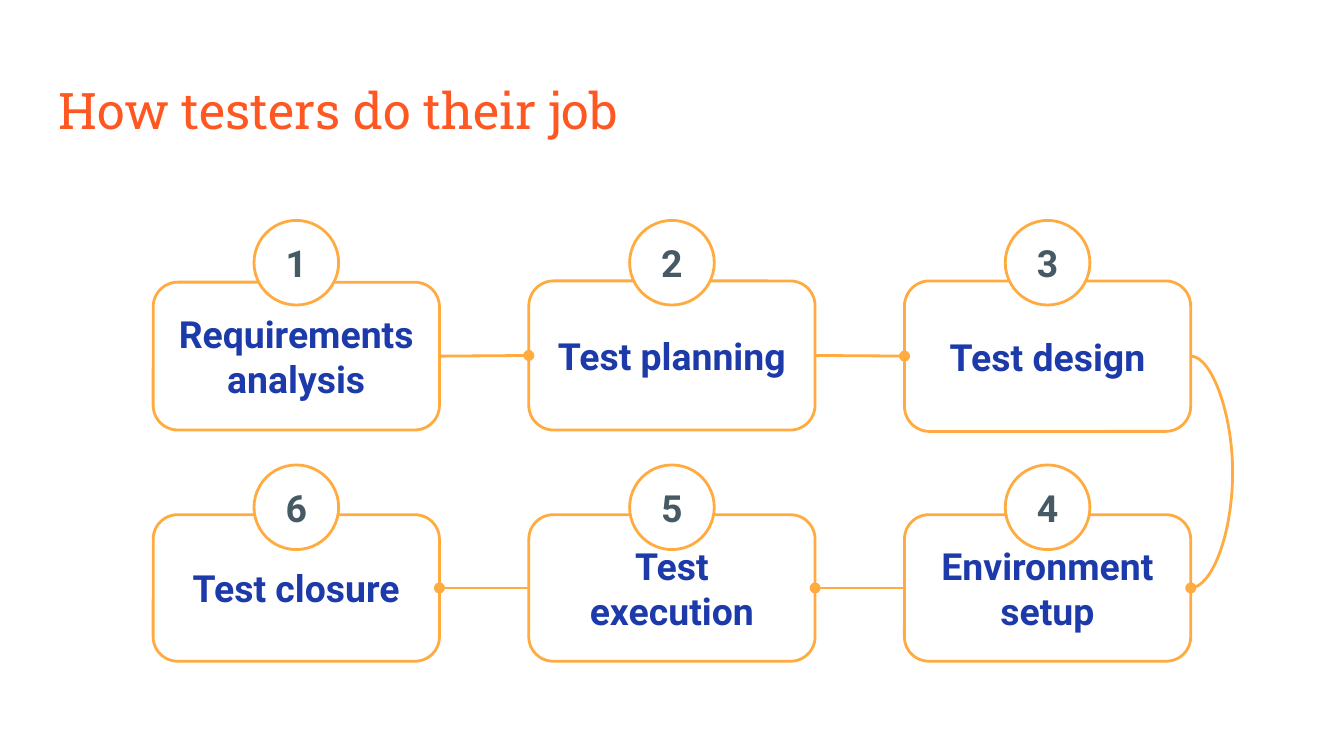
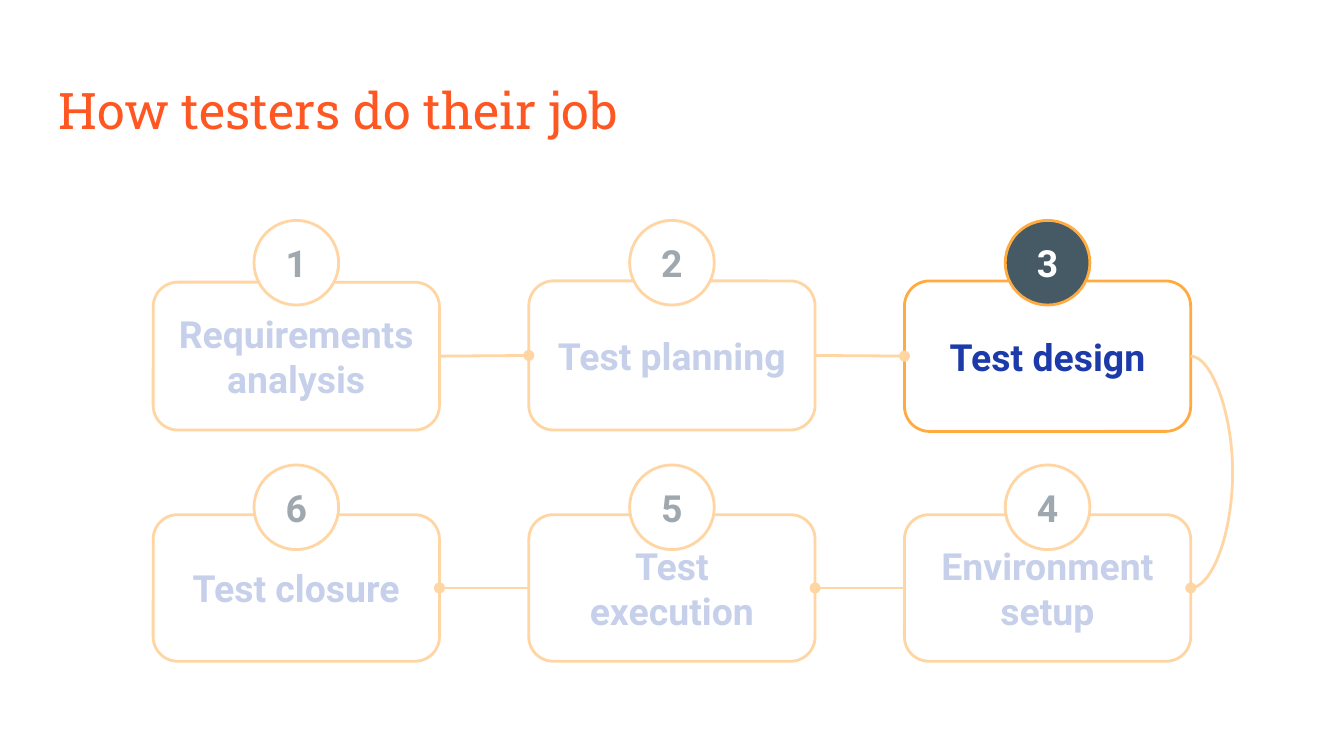
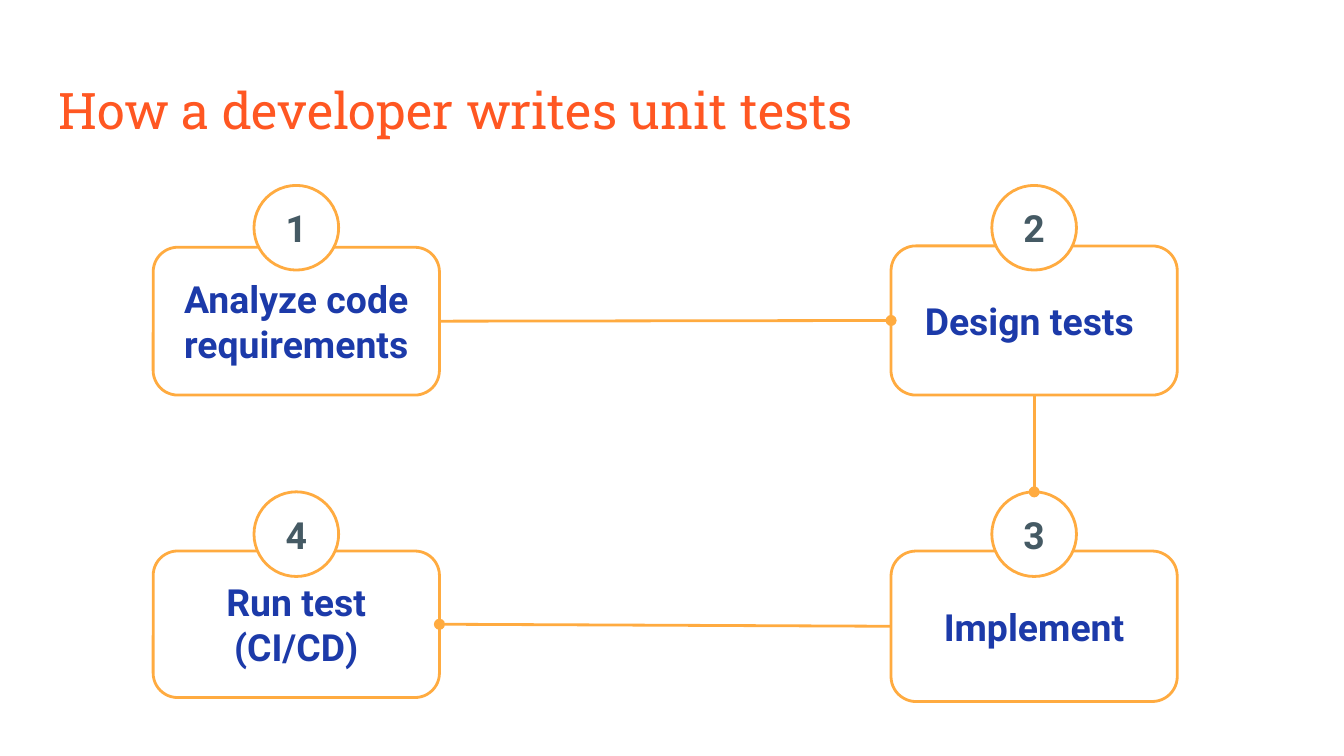
from dataclasses import dataclass

from lxml import etree
from pptx import Presentation
from pptx.dml.color import RGBColor
from pptx.enum.shapes import MSO_CONNECTOR, MSO_SHAPE
from pptx.enum.text import MSO_ANCHOR, PP_ALIGN
from pptx.oxml.ns import qn
from pptx.util import Emu, Inches, Pt

ROUNDED, OVAL = MSO_SHAPE.ROUNDED_RECTANGLE, MSO_SHAPE.OVAL
STRAIGHT, CURVE = MSO_CONNECTOR.STRAIGHT, MSO_CONNECTOR.CURVE
TOP_ANCHOR, MIDDLE = MSO_ANCHOR.TOP, MSO_ANCHOR.MIDDLE
LEFT_ALIGN, CENTER = PP_ALIGN.LEFT, PP_ALIGN.CENTER
TOP, LEFT, BOTTOM, RIGHT = range(4)  # connection sites

WHITE = RGBColor(0xFF, 0xFF, 0xFF)
TITLE_ORANGE = RGBColor(0xFF, 0x57, 0x22)
AMBER = RGBColor(0xFF, 0xAB, 0x40)
PALE_AMBER = RGBColor(0xFF, 0xD5, 0xA4)
BLUE = RGBColor(0x1C, 0x3A, 0xA9)
PALE_BLUE = RGBColor(0xC7, 0xD0, 0xEA)
SLATE = RGBColor(0x45, 0x5A, 0x64)
PALE_SLATE = RGBColor(0x9E, 0xA8, 0xAE)

# Grid, in inches
SLIDE_W = 10
SLIDE_H = SLIDE_W * 9 / 16
MARGIN = 0.34
GRID_LEFT = 1.14
BOX_W, BADGE = 2.13, 0.63
INSET = 0.1
BULGE, CURVE_SPAN = Inches(0.26), Emu(600)


@dataclass(frozen=True)
class Palette:
    line: RGBColor
    label: RGBColor
    number: RGBColor
    badge: RGBColor = WHITE


NORMAL = Palette(AMBER, BLUE, SLATE)
DIMMED = Palette(PALE_AMBER, PALE_BLUE, PALE_SLATE)
ACTIVE = Palette(AMBER, BLUE, WHITE, SLATE)


@dataclass(frozen=True)
class Step:
    label: str
    column: float  # share of the span between the outer columns
    row: int
    top: float
    height: float
    filled: bool = True


@dataclass(frozen=True)
class Link:
    start_site: int
    end_site: int
    kind: int = STRAIGHT
    to_badge: bool = False


@dataclass(frozen=True)
class Process:
    title: str
    last_column: float
    badge_tops: tuple[float, ...]  # one per row
    steps: tuple[Step, ...]
    links: tuple[Link, ...]  # link i joins step i to step i + 1


FORWARD, BACK = Link(RIGHT, LEFT), Link(LEFT, RIGHT)

TESTERS = Process(
    "How testers do their job",
    6.73,
    (1.64, 3.46),
    (
        Step("Requirements analysis", 0, 0, 2.1, 1.1),
        Step("Test planning", 0.5, 0, 2.09, 1.11),
        Step("Test design", 1, 0, 2.09, 1.12),
        Step("Environment setup", 1, 1, 3.83, 1.09, False),
        Step("Test execution", 0.5, 1, 3.83, 1.09, False),
        Step("Test closure", 0, 1, 3.83, 1.09, False),
    ),
    (FORWARD, FORWARD, Link(RIGHT, RIGHT, CURVE), BACK, BACK),
)

DEVELOPER = Process(
    "How a developer writes unit tests",
    6.63,
    (1.38, 3.66),
    (
        Step("Analyze code requirements", 0, 0, 1.84, 1.1),
        Step("Design tests ", 1, 0, 1.83, 1.11),
        Step("Implement", 1, 1, 4.1, 1.12),
        Step("Run test (CI/CD)", 0, 1, 4.1, 1.09, False),
    ),
    (FORWARD, Link(BOTTOM, TOP, to_badge=True), BACK),
)


def write(shape, text: str, font: dict, color: RGBColor,
          align=CENTER, anchor=MIDDLE) -> None:
    tf = shape.text_frame
    frame = {f"margin_{side}": Inches(INSET) for side in ("left", "top", "right", "bottom")}
    frame |= {"word_wrap": True, "vertical_anchor": anchor}
    for name, value in frame.items():
        setattr(tf, name, value)
    p = tf.paragraphs[0]
    p.alignment = align
    r = p.add_run()
    r.text = text
    for name, value in font.items():
        setattr(r.font, name, value)
    r.font.color.rgb = color


def add_title(s, text: str) -> None:
    box = s.shapes.add_textbox(
        Inches(MARGIN), Inches(0.49), Inches(SLIDE_W - 2 * MARGIN), Inches(0.63)
    )
    font = {"name": "Roboto Slab", "size": Pt(27)}
    write(box, text, font, TITLE_ORANGE, LEFT_ALIGN, TOP_ANCHOR)


def add_node(s, kind, x: float, y: float, w: float, h: float, text: str,
             fill: RGBColor | None, line: RGBColor, color: RGBColor):
    sp = s.shapes.add_shape(kind, *(Inches(v) for v in (x, y, w, h)))
    sp.shadow.inherit = False
    if fill is None:
        sp.fill.background()
    else:
        sp.fill.solid()
        sp.fill.fore_color.rgb = fill
    sp.line.color.rgb = line
    sp.line.width = Pt(1.5)
    write(sp, text, {"name": "Roboto", "size": Pt(20), "bold": True}, color)
    return sp


def add_step(s, process: Process, step: Step, number: int, colors: Palette) -> tuple:
    x = GRID_LEFT + step.column * (process.last_column - GRID_LEFT)
    box = add_node(s, ROUNDED, x, step.top, BOX_W, step.height, step.label,
                   WHITE if step.filled else None, colors.line, colors.label)
    badge = add_node(s, OVAL, x + (BOX_W - BADGE) / 2, process.badge_tops[step.row],
                     BADGE, BADGE, str(number), colors.badge, colors.line, colors.number)
    return box, badge


def add_link(s, link: Link, start, end, color: RGBColor) -> None:
    # Starting from the slide's diagonal keeps the connector unflipped
    c = s.shapes.add_connector(link.kind, 0, 0, Inches(SLIDE_W), Inches(SLIDE_H))
    c.begin_connect(start, link.start_site)
    c.end_connect(end, link.end_site)
    c.line.color.rgb = color
    c.line.width = Pt(1.5)
    sp_pr = c._element.spPr
    etree.SubElement(sp_pr.find(qn("a:ln")), qn("a:tailEnd"), type="oval")
    etree.SubElement(sp_pr, qn("a:effectLst"))
    if link.kind == CURVE:
        # The bend is a multiple of the width, so the width must not be zero
        c.width = CURVE_SPAN
        bend = round(BULGE / CURVE_SPAN * 100000)
        guides = sp_pr.find(qn("a:prstGeom")).find(qn("a:avLst"))
        etree.SubElement(guides, qn("a:gd"), name="adj1", fmla=f"val {bend}")


def add_process(prs, process: Process, active: int | None = None) -> None:
    s = prs.slides.add_slide(prs.slide_layouts[6])
    add_title(s, process.title)
    base = NORMAL if active is None else DIMMED
    nodes = [
        add_step(s, process, step, n, ACTIVE if n == active else base)
        for n, step in enumerate(process.steps, 1)
    ]
    for link, (box, _), target in zip(process.links, nodes, nodes[1:]):
        add_link(s, link, box, target[link.to_badge], base.line)


def main() -> None:
    prs = Presentation()
    prs.slide_width, prs.slide_height = Inches(SLIDE_W), Inches(SLIDE_H)
    add_process(prs, TESTERS)
    add_process(prs, TESTERS, active=3)
    add_process(prs, DEVELOPER)
    prs.save("out.pptx")


if __name__ == "__main__":
    main()
